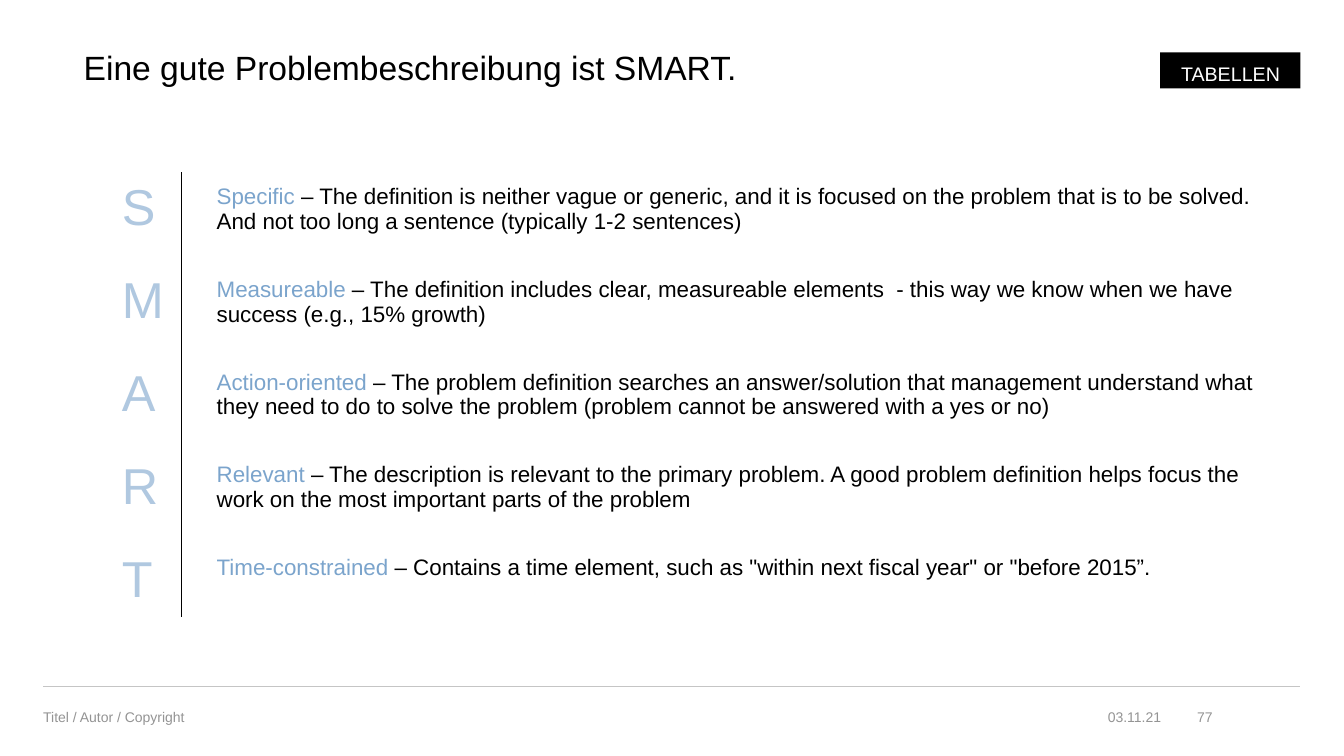
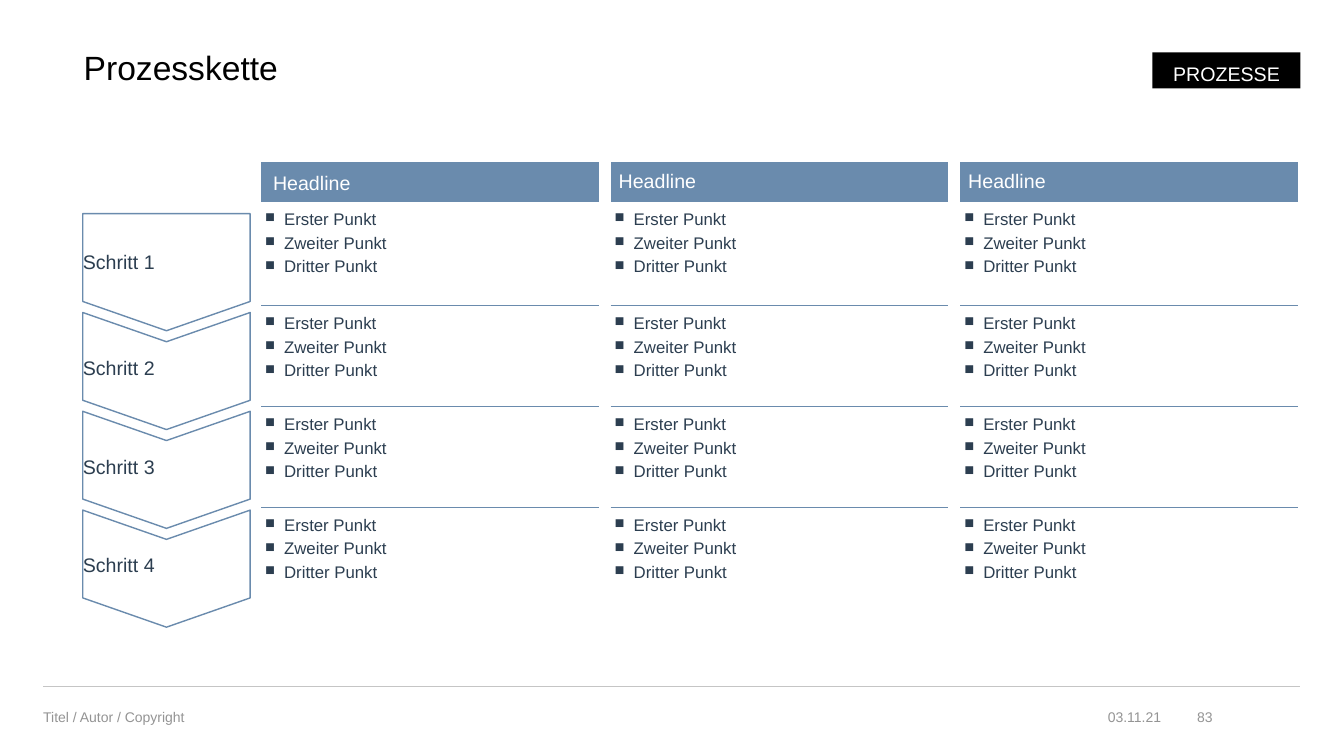
import pptx
import pptx.dml.color
import pptx.enum.shapes
import pptx.enum.text
import pptx.oxml
import pptx.oxml.ns
import pptx.util

Cm = pptx.util.Cm
Pt = pptx.util.Pt
ALIGN = pptx.enum.text.PP_ALIGN
ANCHOR = pptx.enum.text.MSO_ANCHOR
SHAPE = pptx.enum.shapes.MSO_SHAPE

FONT = "Arial"
BLACK, WHITE, GREY, RULE = "000000", "FFFFFF", "949494", "C5C5C5"
LETTER, TERM, STEEL, NAVY = "B0C8E0", "7BA4CC", "6A8BAD", "2C3E50"
NO_TABLE_STYLE = "{2D5ABB26-0587-4C30-8999-92F81FD0307C}"
RIGHT_EDGE = 32.77

SMART = [
    ("Specific", "The definition is neither vague or generic, and it is focused on the problem "
     "that is to be solved. And not too long a sentence (typically 1-2 sentences)"),
    ("Measureable", "The definition includes clear, measureable elements  - this way we know "
     "when we have success (e.g., 15% growth)"),
    ("Action-oriented", "The problem definition searches an answer/solution that management "
     "understand what they need to do to solve the problem (problem cannot be answered with a yes or no)"),
    ("Relevant", "The description is relevant to the primary problem. A good problem definition "
     "helps focus the work on the most important parts of the problem"),
    ("Time-constrained", "Contains a time element, such as \"within next fiscal year\" or \"before 2015”."),
]
STEPS = ["Schritt 1", "Schritt 2", "Schritt 3", "Schritt 4"]
HEADLINES = ["Headline", "Headline", "Headline"]
POINTS = ["Erster Punkt", "Zweiter Punkt", "Dritter Punkt"]
FOOTERS = [
    ("Titel / Autor / Copyright", 1.09, 15.42, ALIGN.LEFT),
    ("03.11.21", 27.36, 1.9, ALIGN.RIGHT),
]


def color(value):
    return pptx.dml.color.RGBColor.from_string(value)


def set_values(target, values):
    for name, value in values.items():
        setattr(target, name, value)


def set_margins(target, left=0, top=0, right=0, bottom=0):
    sides = {"left": left, "top": top, "right": right, "bottom": bottom}
    set_values(target, {f"margin_{side}": Cm(size) for side, size in sides.items()})


def write(paragraph, text, size, text_color, **formats):
    set_values(paragraph, formats)
    run = paragraph.add_run()
    run.text = text
    set_values(run.font, {"name": FONT, "size": Pt(size)})
    run.font.color.rgb = color(text_color)


def add_text(slide, text, box, size, text_color, anchor=ANCHOR.TOP, **formats):
    shape = slide.shapes.add_textbox(*map(Cm, box))
    frame = shape.text_frame
    set_values(frame, {"word_wrap": True, "vertical_anchor": anchor})
    set_margins(frame)
    write(frame.paragraphs[0], text, size, text_color, **formats)


def add_rule(slide):
    rule = slide.shapes.add_connector(
        pptx.enum.shapes.MSO_CONNECTOR.STRAIGHT, *map(Cm, (1.09, 17.3, RIGHT_EDGE, 17.3)))
    rule.line.color.rgb = color(RULE)
    rule.line.width = Pt(0.5)
    rule._element.spPr.append(pptx.oxml.parse_xml(
        f"<a:effectLst {pptx.oxml.ns.nsdecls('a')}/>"))


def add_tag(slide, text, width):
    tag = slide.shapes.add_shape(
        SHAPE.RECTANGLE, *map(Cm, (RIGHT_EDGE - width, 1.32, width, 0.91)))
    tag.shadow.inherit = False
    tag.fill.solid()
    tag.fill.fore_color.rgb = color(BLACK)
    tag.line.fill.background()
    frame = tag.text_frame
    set_values(frame, {"word_wrap": False, "vertical_anchor": ANCHOR.TOP})
    set_margins(frame, 0.51, 0.13, 0.51, 0.13)
    write(frame.paragraphs[0], text, 14, WHITE,
          alignment=ALIGN.RIGHT, line_spacing=1.2, space_after=Pt(10))


def add_slide(presentation, title, tag, tag_width, number):
    slide = presentation.slides.add_slide(presentation.slide_layouts[6])
    add_rule(slide)
    add_text(slide, title, (2.11, 1.3, 30.66, 0.91), 24, BLACK, line_spacing=0.9)
    for text, left, width, alignment in FOOTERS + [(number, 29.77, 0.79, ALIGN.RIGHT)]:
        add_text(slide, text, (left, 17.58, width, 0.99), 10, GREY, ANCHOR.MIDDLE, alignment=alignment)
    add_tag(slide, tag, tag_width)
    return slide


def add_table(slide, left, top, widths, heights):
    frame = slide.shapes.add_table(
        len(heights), len(widths), *map(Cm, (left, top, sum(widths), sum(heights))))
    table = frame.table
    set_values(table, {"first_row": False, "horz_banding": False})
    table._tbl.tblPr.find(pptx.oxml.ns.qn("a:tableStyleId")).text = NO_TABLE_STYLE
    for column, width in zip(table.columns, widths):
        column.width = Cm(width)
    for row, height in zip(table.rows, heights):
        row.height = Cm(height)
    for cell in table.iter_cells():
        set_margins(cell)
        cell.fill.background()
    return table


def add_border(cell, side, line_color):
    properties = cell._tc.get_or_add_tcPr()
    cell_fill = properties.find(pptx.oxml.ns.qn("a:noFill"))
    cell_fill.addprevious(pptx.oxml.parse_xml(
        f'<a:ln{side} {pptx.oxml.ns.nsdecls("a")} w="{Pt(0.75)}"><a:solidFill>'
        f'<a:srgbClr val="{line_color}"/></a:solidFill></a:ln{side}>'))


def add_bullet(paragraph):
    properties = paragraph._p.get_or_add_pPr()
    set_indent = {"marL": Cm(0.48), "indent": Cm(-0.48)}
    for name, value in set_indent.items():
        properties.set(name, str(value))
    for element in (f'buClr {{}}><a:srgbClr val="{NAVY}"/></a:buClr>',
                    'buSzPct {} val="80000"/>', 'buChar {} char="■"/>'):
        properties.append(pptx.oxml.parse_xml(
            "<a:" + element.format(pptx.oxml.ns.nsdecls("a"))))


def build_smart(presentation):
    slide = add_slide(presentation, "Eine gute Problembeschreibung ist SMART.", "TABELLEN", 3.53, "77")
    table = add_table(slide, 2.82, 4.34, [1.75, 27.46], [2.34] * 4 + [1.6])
    for row, (term, definition) in enumerate(SMART):
        letter_cell, text_cell = table.cell(row, 0), table.cell(row, 1)
        set_margins(letter_cell, 0.25, 0.2, 0.25, 0.13)
        set_margins(text_cell, 0.89, 0.3, 0.25, 0.13)
        add_border(letter_cell, "R", BLACK)
        add_border(text_cell, "L", BLACK)
        write(letter_cell.text_frame.paragraphs[0], term[0], 36, LETTER)
        paragraph = text_cell.text_frame.paragraphs[0]
        write(paragraph, term, 16, TERM)
        write(paragraph, f" – {definition}", 16, BLACK)


def add_step(slide, index, text):
    length, breadth, pitch = 2.95, 4.22, 2.49
    kind = SHAPE.CHEVRON if index else SHAPE.PENTAGON
    step = slide.shapes.add_shape(
        kind, *map(Cm, (2.72, 4.75 + index * pitch, length, breadth)))
    step.rotation = 90
    step.adjustments[0] = 0.25
    step.shadow.inherit = False
    step.fill.background()
    step.line.color.rgb = color(STEEL)
    step.line.width = Pt(1)
    frame = step.text_frame
    set_values(frame, {"word_wrap": True, "vertical_anchor": ANCHOR.MIDDLE})
    set_margins(frame, right=0.2)
    frame._txBody.bodyPr.set("vert", "vert270")
    write(frame.paragraphs[0], text, 14, NAVY, alignment=ALIGN.LEFT, line_spacing=1.04)


def build_process(presentation):
    slide = add_slide(presentation, "Prozesskette", "PROZESSE", 3.73, "83")
    column, gap = 8.51, 0.3
    table = add_table(slide, 6.58, 4.09, [column, gap, column, gap, column],
                      [0.99, 2.62, 2.54, 2.54, 2.95])
    for position, headline in enumerate(HEADLINES):
        header = table.cell(0, position * 2)
        header.vertical_anchor = ANCHOR.MIDDLE
        header.fill.solid()
        header.fill.fore_color.rgb = color(STEEL)
        set_margins(header, *((0.2, 0) if position else (0.3, 0.1, 0.1)))
        write(header.text_frame.paragraphs[0], headline, 14, WHITE)
        for row in range(1, len(STEPS) + 1):
            cell = table.cell(row, position * 2)
            set_margins(cell, 0.1, 0.2, 0.1, 0.1)
            if row > 1:
                add_border(cell, "T", STEEL)
            if row < len(STEPS):
                add_border(cell, "B", STEEL)
            for order, point in enumerate(POINTS):
                frame = cell.text_frame
                paragraph = frame.add_paragraph() if order else frame.paragraphs[0]
                add_bullet(paragraph)
                write(paragraph, point, 12, NAVY, line_spacing=1.04, space_after=Pt(3))
    for index, text in enumerate(STEPS):
        add_step(slide, index, text)


def main():
    presentation = pptx.Presentation()
    set_values(presentation, {"slide_width": Cm(33.87), "slide_height": Cm(19.05)})
    build_smart(presentation)
    build_process(presentation)
    presentation.save("out.pptx")


if __name__ == "__main__":
    main()
